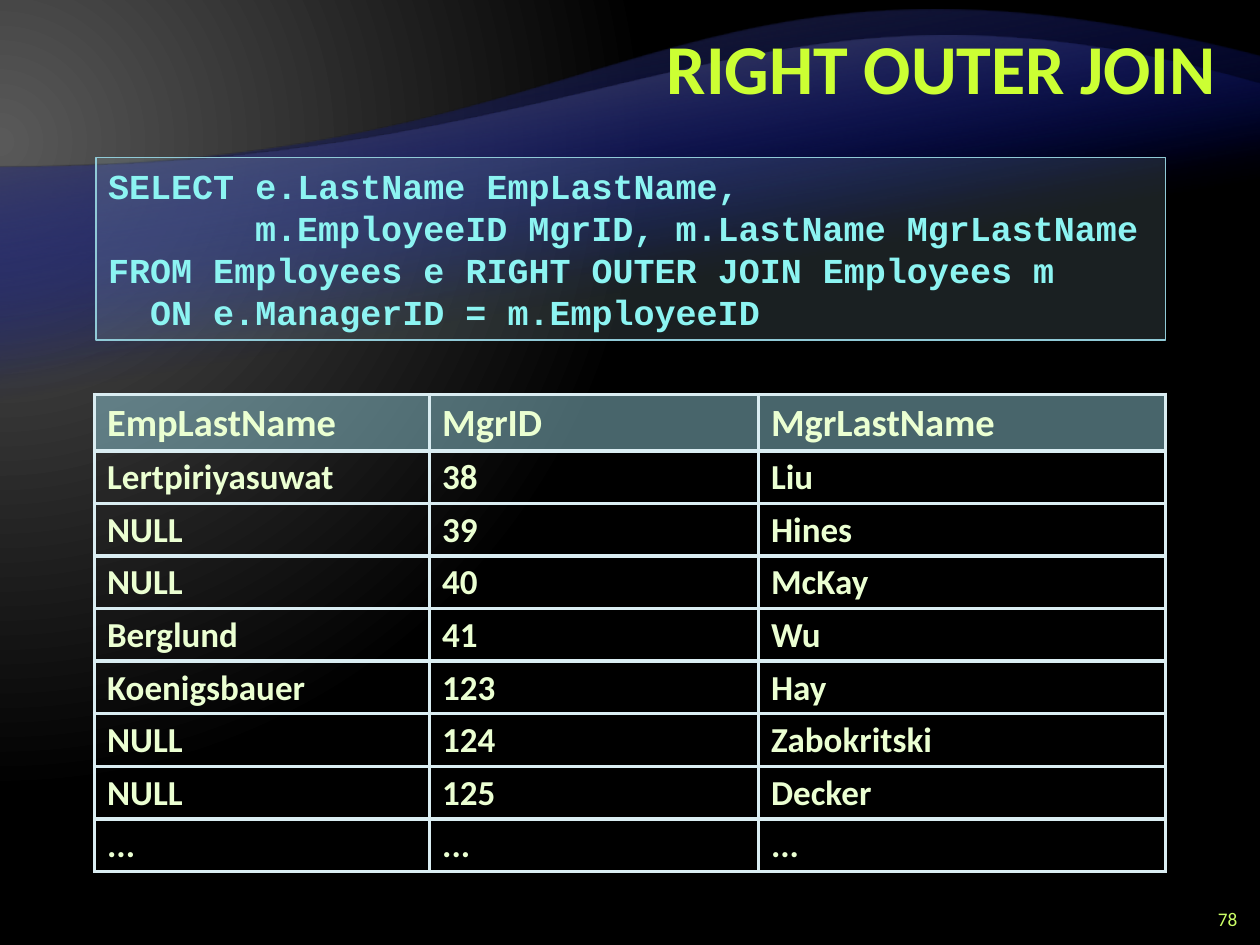
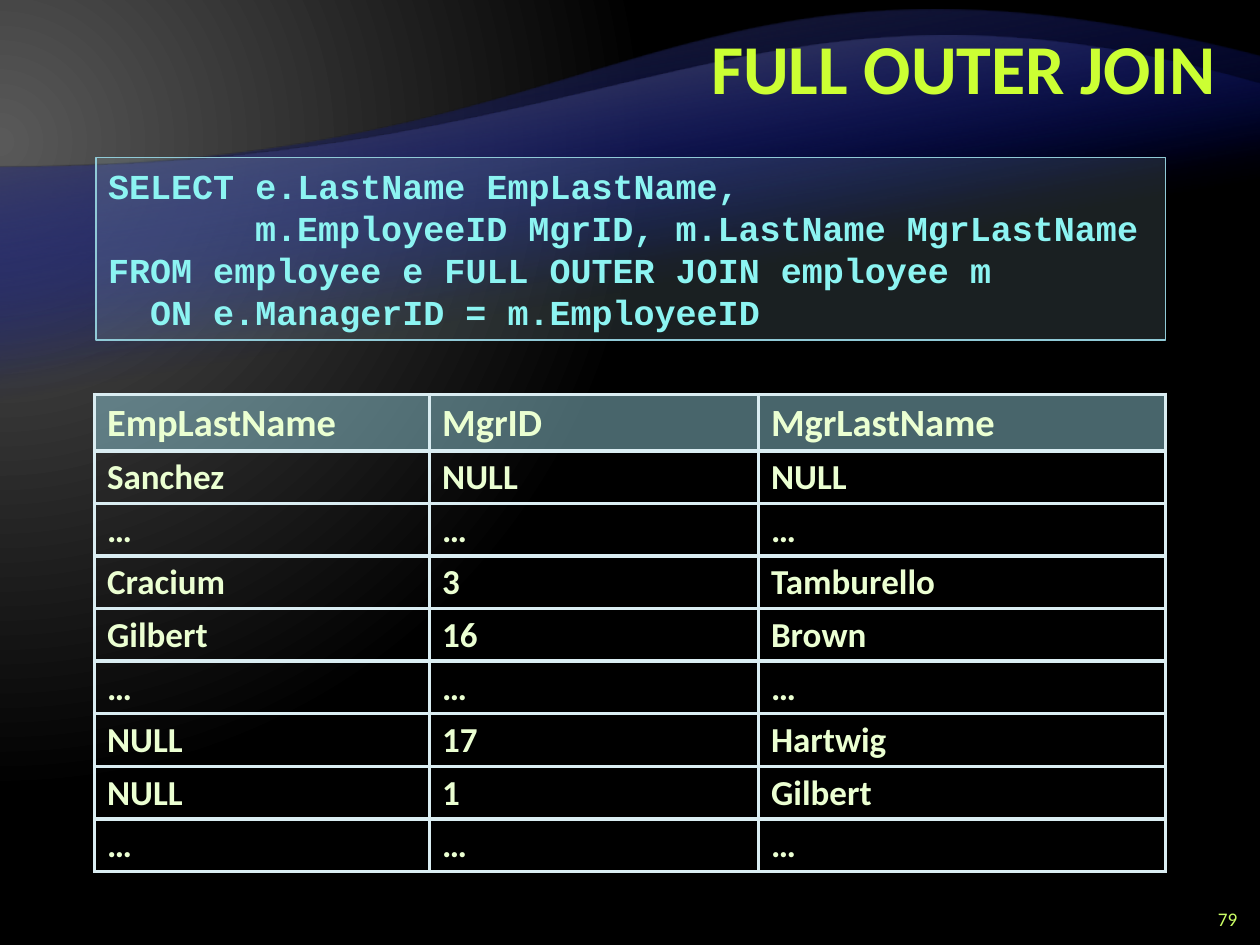
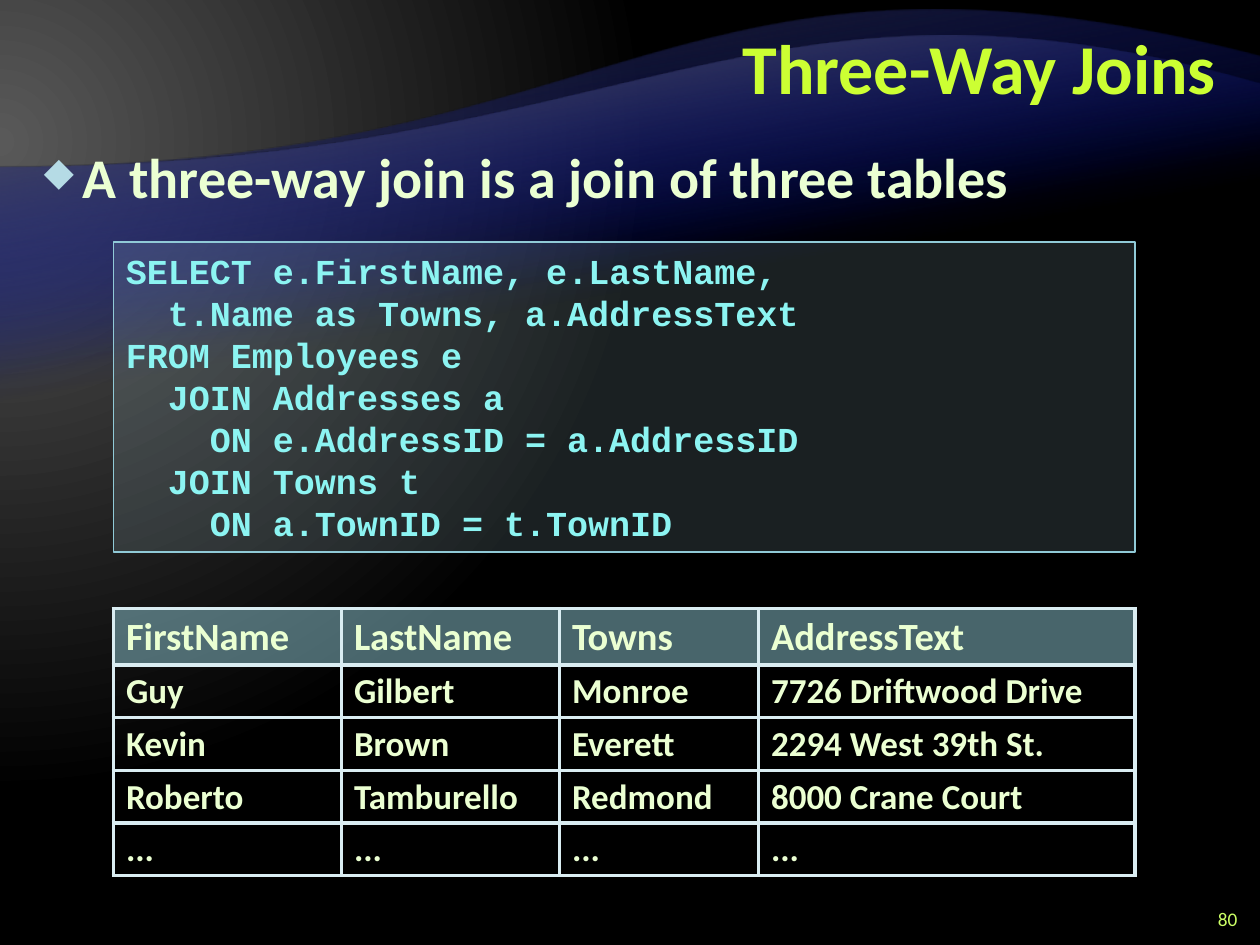
from dataclasses import dataclass
from typing import Any

from lxml import etree
from pptx import Presentation
from pptx import util as u
from pptx.dml.color import RGBColor
from pptx.enum import shapes, text
from pptx.oxml import ns, parse_xml

LIME = RGBColor(0xCC, 0xFF, 0x33)
PALE_LIME = RGBColor(0xCC, 0xFF, 0x66)
CREAM = RGBColor(0xEB, 0xFF, 0xD2)
CYAN = RGBColor(0x8C, 0xF4, 0xF2)
ICE = RGBColor(0xB5, 0xDB, 0xE5)
TEAL = RGBColor(0x90, 0xCA, 0xD7)
FROST = RGBColor(0xDA, 0xED, 0xF2)
BLUE = RGBColor(0x00, 0x0D, 0x9E)
GREY = RGBColor(0x59, 0x59, 0x59)
DARK = RGBColor(0x26, 0x26, 0x26)
BLACK = RGBColor(0, 0, 0)

SANS = "Calibri"
MONO = "Courier New"
ROW = 0.38
LETTER = u.Pt(12)


@dataclass(frozen=True)
class Box:
    left: float
    top: float
    width: float
    height: float

    def emu(self) -> tuple[u.Length, ...]:
        return tuple(u.Inches(n) for n in (self.left, self.top, self.width, self.height))


@dataclass(frozen=True)
class Band:
    top: float
    side: float
    pull: tuple[float, float]
    low: float
    tone: RGBColor


@dataclass(frozen=True)
class Stop:
    place: int
    tone: RGBColor
    alpha: int = 100


@dataclass(frozen=True)
class Grid:
    box: Box
    widths: tuple[float, ...]
    rows: tuple[tuple[str, ...], ...]


@dataclass(frozen=True)
class Page:
    title: str
    number: int
    code: str
    frame: Box
    grid: Grid
    point: str = ""


BANDS = (
    Band(0.45, 5.65, (4.66, 7.73), 6.53, DARK),
    Band(0.67, 4.91, (4.02, 6.73), 5.57, GREY),
)

TOP_CODE = Box(0.76, 1.25, 8.49, 1.45)
TOP_GRID = Box(0.75, 3.13, 8.5, 3.78)
TOP_COLS = (2.66, 2.61, 3.23)
HEADS = ("EmpLastName", "MgrID", "MgrLastName")
QUERY = """SELECT e.LastName EmpLastName,
       m.EmployeeID MgrID, m.LastName MgrLastName
FROM {}
  ON e.ManagerID = m.EmployeeID"""

PAGES = (
    Page(
        "RIGHT OUTER JOIN", 78,
        QUERY.format("Employees e RIGHT OUTER JOIN Employees m"), TOP_CODE,
        Grid(TOP_GRID, TOP_COLS, (
            HEADS,
            ("Lertpiriyasuwat", "38", "Liu"),
            ("NULL", "39", "Hines"),
            ("NULL", "40", "McKay"),
            ("Berglund", "41", "Wu"),
            ("Koenigsbauer", "123", "Hay"),
            ("NULL", "124", "Zabokritski"),
            ("NULL", "125", "Decker"),
            ("...",) * 3,
        )),
    ),
    Page(
        "FULL OUTER JOIN", 79,
        QUERY.format("employee e FULL OUTER JOIN employee m"), TOP_CODE,
        Grid(TOP_GRID, TOP_COLS, (
            HEADS,
            ("Sanchez", "NULL", "NULL"),
            ("…",) * 3,
            ("Cracium", "3", "Tamburello"),
            ("Gilbert", "16", "Brown"),
            ("…",) * 3,
            ("NULL", "17", "Hartwig"),
            ("NULL", "1", "Gilbert"),
            ("…",) * 3,
        )),
    ),
    Page(
        "Three-Way Joins", 80,
        """SELECT e.FirstName, e.LastName,
  t.Name as Towns, a.AddressText
FROM Employees e
  JOIN Addresses a
    ON e.AddressID = a.AddressID
  JOIN Towns t
    ON a.TownID = t.TownID""",
        Box(0.9, 1.92, 8.11, 2.46),
        Grid(Box(0.9, 4.83, 8.11, 2.12), (1.81, 1.73, 1.58, 2.99), (
            ("FirstName", "LastName", "Towns", "AddressText"),
            ("Guy", "Gilbert", "Monroe", "7726 Driftwood Drive"),
            ("Kevin", "Brown", "Everett", "2294 West 39th St."),
            ("Roberto", "Tamburello", "Redmond", "8000 Crane Court"),
            ("...",) * 4,
        )),
        "A three-way join is a join of three tables",
    ),
)


def add_node(parent: Any, tag: str, **attrs: Any) -> Any:
    node = etree.SubElement(parent, ns.qn(tag))
    for key, value in attrs.items():
        node.set(key, str(value))
    return node


def style(para: Any, size: float, tone: RGBColor, face: str = SANS, bold: bool = True) -> None:
    para.font.size = u.Pt(size)
    para.font.name = face
    para.font.bold = bold
    para.font.color.rgb = tone


def indent(para: Any, margin: int, hang: int = 0) -> Any:
    props = para._p.get_or_add_pPr()
    props.set("marL", str(int(margin)))
    props.set("indent", str(int(hang)))
    return props


def fade(owner: Any, percent: int) -> None:
    tone = owner.find(".//" + ns.qn("a:srgbClr"))
    add_node(tone, "a:alpha", val=percent * 1000)


def blend(owner: Any, stops: tuple[Stop, ...], course: str) -> None:
    marks = "".join(
        f'<a:gs pos="{s.place * 1000}"><a:srgbClr val="{s.tone}">'
        f'<a:alpha val="{s.alpha * 1000}"/></a:srgbClr></a:gs>'
        for s in stops
    )
    fill = parse_xml(
        f'<a:gradFill {ns.nsdecls("a")} rotWithShape="1">'
        f"<a:gsLst>{marks}</a:gsLst>{course}</a:gradFill>"
    )
    solid = owner.find(".//" + ns.qn("a:solidFill"))
    solid.getparent().replace(solid, fill)


def draw_band(slide: Any, band: Band) -> Any:
    left, right = u.Inches(0), u.Inches(10)
    top, side, low = (u.Inches(n) for n in (band.top, band.side, band.low))
    pen = slide.shapes.build_freeform(left, top)
    pen.add_line_segments([(right, top), (right, side), (left, low)], close=True)
    shape = pen.convert_to_shape()
    shape.shadow.inherit = False
    shape.fill.solid()
    shape.line.fill.background()
    shape.rotation = 180
    trace = shape.element.find(".//" + ns.qn("a:path"))
    edge = trace[3]
    curve = add_node(trace, "a:cubicBezTo")
    for x, y in ((5, band.side), band.pull, (0, band.low)):
        add_node(curve, "a:pt", x=u.Inches(x), y=u.Inches(y) - top)
    trace.replace(edge, curve)
    blend(shape.element, (Stop(65, BLUE, 0), Stop(100, band.tone)),
          '<a:lin ang="4800000" scaled="0"/>')
    return shape


def dress(master: Any, slide: Any) -> None:
    master.background.fill.solid()
    master.background.fill.fore_color.rgb = BLACK
    blend(master.element.find(".//" + ns.qn("p:bgPr")),
          (Stop(0, GREY), Stop(83, BLACK)),
          '<a:path path="circle">'
          '<a:fillToRect l="20000" t="30000" r="135000" b="100000"/></a:path>')
    for spot, band in enumerate(BANDS, 2):
        master.shapes.element.insert(spot, draw_band(slide, band).element)


def set_title(slide: Any, words: str) -> None:
    title = slide.shapes.title
    title.left, title.top, title.width, title.height = Box(2, 0.08, 7.75, 1).emu()
    frame = title.text_frame
    frame.text = words
    frame.auto_size = text.MSO_AUTO_SIZE.NONE
    frame.vertical_anchor = text.MSO_ANCHOR.MIDDLE
    para = frame.paragraphs[0]
    para.alignment = text.PP_ALIGN.RIGHT
    para.line_spacing = u.Pt(40)
    style(para, 40, LIME)


def add_text(slide: Any, box: Box, words: str) -> Any:
    frame = slide.shapes.add_textbox(*box.emu()).text_frame
    frame.word_wrap = True
    frame.text = words
    return frame


def add_number(slide: Any, number: int) -> None:
    frame = add_text(slide, Box(9.42, 7.17, 0.5, 0.25), str(number))
    frame.vertical_anchor = text.MSO_ANCHOR.MIDDLE
    para = frame.paragraphs[0]
    para.alignment = text.PP_ALIGN.RIGHT
    style(para, 11, PALE_LIME, bold=False)


def add_point(slide: Any, words: str) -> None:
    para = add_text(slide, Box(0.25, 1.08, 9.5, 6.25), words).paragraphs[0]
    para.space_before = para.space_after = u.Pt(6)
    props = indent(para, u.Inches(0.31), -u.Inches(0.31))
    add_node(add_node(props, "a:buClr"), "a:srgbClr", val=ICE)
    add_node(props, "a:buSzPct", val=70000)
    add_node(props, "a:buChar", char="◆")
    style(para, 32, CREAM)


def add_code(slide: Any, box: Box, code: str) -> None:
    panel = slide.shapes.add_shape(shapes.MSO_SHAPE.RECTANGLE, *box.emu())
    panel.shadow.inherit = False
    panel.fill.solid()
    panel.fill.fore_color.rgb = ICE
    fade(panel.element, 15)
    panel.line.color.rgb = TEAL
    panel.line.width = u.Pt(1)
    frame = panel.text_frame
    frame.word_wrap = True
    frame.vertical_anchor = text.MSO_ANCHOR.MIDDLE
    lines = code.splitlines()
    frame.text = "\n".join(line.lstrip() for line in lines)
    for para, line in zip(frame.paragraphs, lines):
        indent(para, (len(line) - len(line.lstrip())) * LETTER)
        para.alignment = text.PP_ALIGN.LEFT
        para.line_spacing = u.Pt(24)
        style(para, 20, CYAN, MONO)


def add_edges(cell: Any) -> None:
    props = cell._tc.get_or_add_tcPr()
    for spot, side in enumerate(("a:lnL", "a:lnR", "a:lnT", "a:lnB")):
        line = add_node(props, side, w=u.Pt(2.25))
        add_node(add_node(line, "a:solidFill"), "a:srgbClr", val=FROST)
        props.insert(spot, line)


def fill_cell(cell: Any, words: str, head: bool) -> None:
    cell.text = words
    para = cell.text_frame.paragraphs[0]
    para.line_spacing = 0.95
    para.space_before = u.Pt(0)
    gap = para._p.pPr.find(ns.qn("a:spcBef"))
    gap.remove(gap[0])
    add_node(gap, "a:spcPct", val=40000)
    style(para, 22 if head else 20, CREAM)
    if head:
        cell.fill.solid()
        cell.fill.fore_color.rgb = TEAL
        fade(cell._tc.tcPr, 50)
    else:
        cell.fill.background()
    add_edges(cell)


def add_grid(slide: Any, grid: Grid) -> None:
    count = len(grid.rows)
    frame = slide.shapes.add_table(count, len(grid.widths), *grid.box.emu())
    table = frame.table
    table.first_row = table.horz_banding = False
    for col, width in zip(table.columns, grid.widths):
        col.width = u.Inches(width)
    for r, row in enumerate(grid.rows):
        table.rows[r].height = u.Inches(ROW)
        for c, words in enumerate(row):
            fill_cell(table.cell(r, c), words, r == 0)
    frame.height = u.Inches(grid.box.height)


def main() -> None:
    deck = Presentation()
    deck.slide_width, deck.slide_height = u.Inches(10), u.Inches(7.5)
    for page in PAGES:
        slide = deck.slides.add_slide(deck.slide_layouts[5])
        if page is PAGES[0]:
            dress(deck.slide_master, slide)
        set_title(slide, page.title)
        if page.point:
            add_point(slide, page.point)
        add_number(slide, page.number)
        add_code(slide, page.frame, page.code)
        add_grid(slide, page.grid)
    deck.save("out.pptx")


if __name__ == "__main__":
    main()
